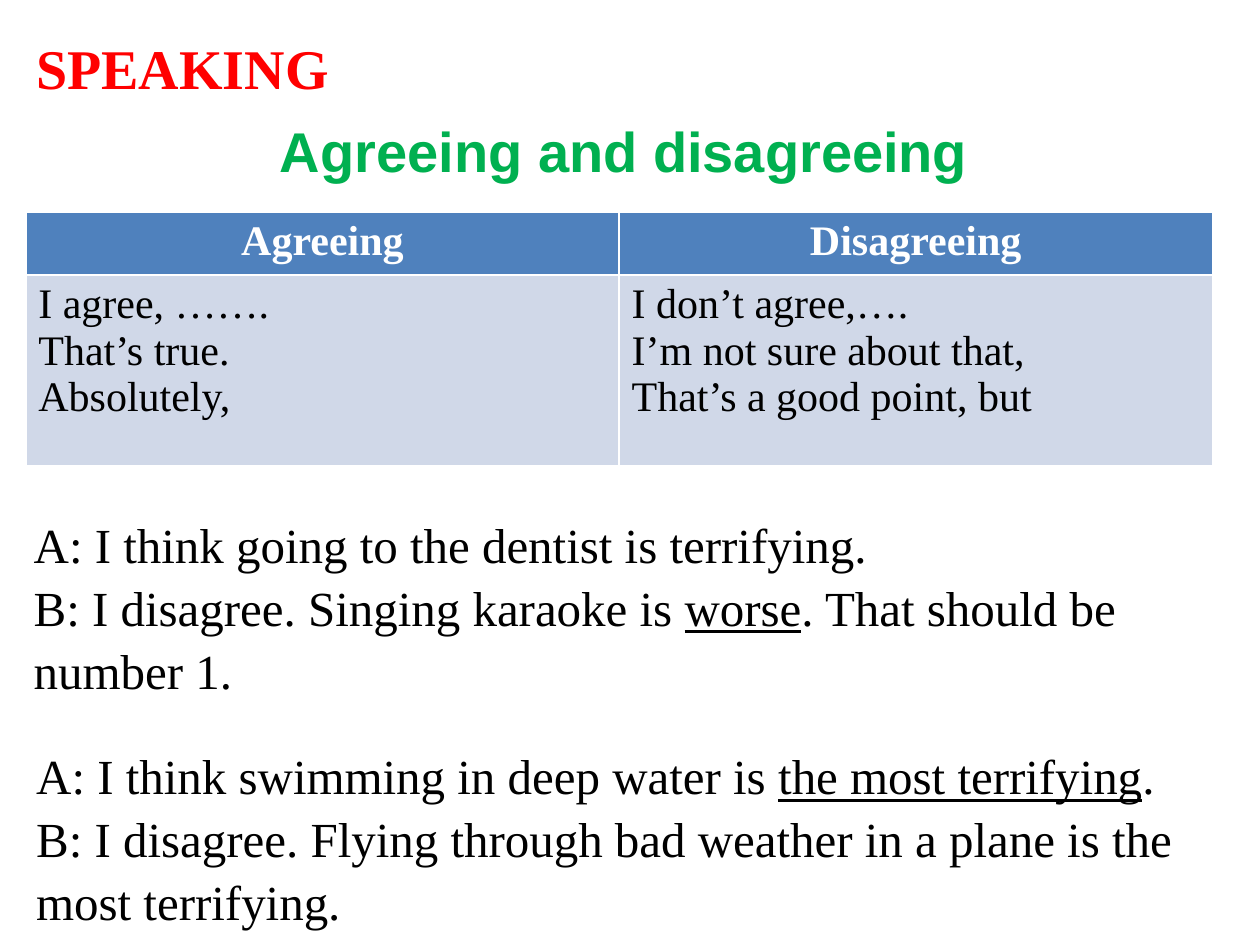
from pptx import Presentation
from pptx.dml.color import RGBColor
from pptx.enum.text import PP_ALIGN
from pptx.util import Cm, Pt

LEFT, CENTER = PP_ALIGN.LEFT, PP_ALIGN.CENTER
SERIF, SANS = "Times New Roman", "Arial"

HEADERS = ["Agreeing", "Disagreeing"]
PHRASES = [
    ["I agree, …….", "That’s true.", "Absolutely,"],
    ["I don’t agree,….", "I’m not sure about that,", "That’s a good point, but"],
]
DENTIST = [
    [("A: I think going to the dentist is terrifying.", False)],
    [("B: I disagree. Singing karaoke is ", False), ("worse", True),
     (". That should be number 1.", False)],
]
SWIMMING = [
    [("A: I think swimming in deep water is ", False),
     ("the most terrifying", True), (".", False)],
    [("B: I disagree. Flying through bad weather in a plane is the most terrifying.", False)],
]


def rgb(color):
    """Turn a hex string into a colour."""
    return RGBColor.from_string(color)


def write(tf, paragraphs, size, color="000000", font=SERIF, bold=False, align=LEFT, spacing=None):
    """Fill a text frame with paragraphs of (text, underlined) runs."""
    tf.word_wrap = True
    for i, runs in enumerate(paragraphs):
        p = tf.add_paragraph() if i else tf.paragraphs[0]
        p.alignment = align
        if spacing:
            p.line_spacing = spacing
        for text, underlined in runs:
            r = p.add_run()
            r.text = text
            r.font.name = font
            r.font.size = Pt(size)
            r.font.bold = bold
            r.font.underline = underlined
            r.font.color.rgb = rgb(color)


def add_heading(s, x, y, w, h, text, color, font, align):
    """Place a bold heading."""
    tf = s.shapes.add_textbox(Cm(x), Cm(y), Cm(w), Cm(h)).text_frame
    tf.margin_top = Cm(0.25)
    write(tf, [[(text, False)]], 32, color, font, True, align)


def add_phrase_table(s, x, y, w, header_h, body_h):
    """Place the two-column table of useful phrases."""
    table = s.shapes.add_table(2, 2, Cm(x), Cm(y), Cm(w), Cm(header_h + body_h)).table
    table.rows[0].height, table.rows[1].height = Cm(header_h), Cm(body_h)
    for col, (header, phrases) in enumerate(zip(HEADERS, PHRASES)):
        head, body = table.cell(0, col), table.cell(1, col)
        for cell, fill in ((head, "4F81BD"), (body, "D0D8E8")):
            cell.fill.solid()
            cell.fill.fore_color.rgb = rgb(fill)
        write(head.text_frame, [[(header, False)]], 24, "FFFFFF", bold=True, align=CENTER)
        write(body.text_frame, [[(phrase, False)] for phrase in phrases], 24)


def add_dialogue(s, x, y, w, h, lines):
    """Place a short exchange between two speakers."""
    tf = s.shapes.add_textbox(Cm(x), Cm(y), Cm(w), Cm(h)).text_frame
    write(tf, lines, 28, spacing=1.07)


def main():
    """Build and save the slide."""
    prs = Presentation()
    prs.slide_width, prs.slide_height = Cm(25.4), Cm(19.05)
    s = prs.slides.add_slide(prs.slide_layouts[6])
    add_heading(s, 0.48, 0.43, 7.77, 2.1, "SPEAKING", "FF0000", SERIF, LEFT)
    add_heading(s, 0, 2.1, 25.17, 1.83, "Agreeing and disagreeing", "00B050", SANS, CENTER)
    add_phrase_table(s, 0.52, 4.27, 23.92, 1.17, 3.84)
    add_dialogue(s, 0.43, 10.16, 24.3, 3.84, DENTIST)
    add_dialogue(s, 0.48, 14.83, 24.3, 3.84, SWIMMING)
    prs.save("out.pptx")


if __name__ == "__main__":
    main()
